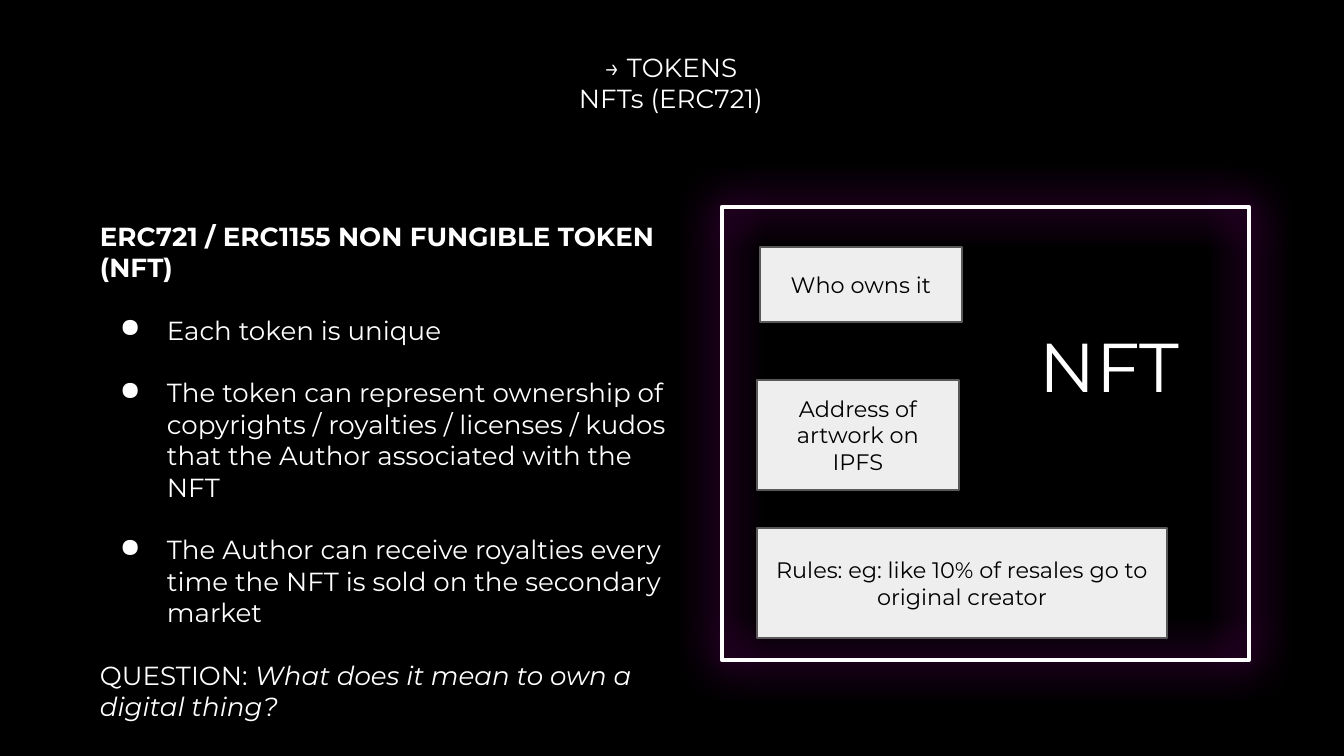
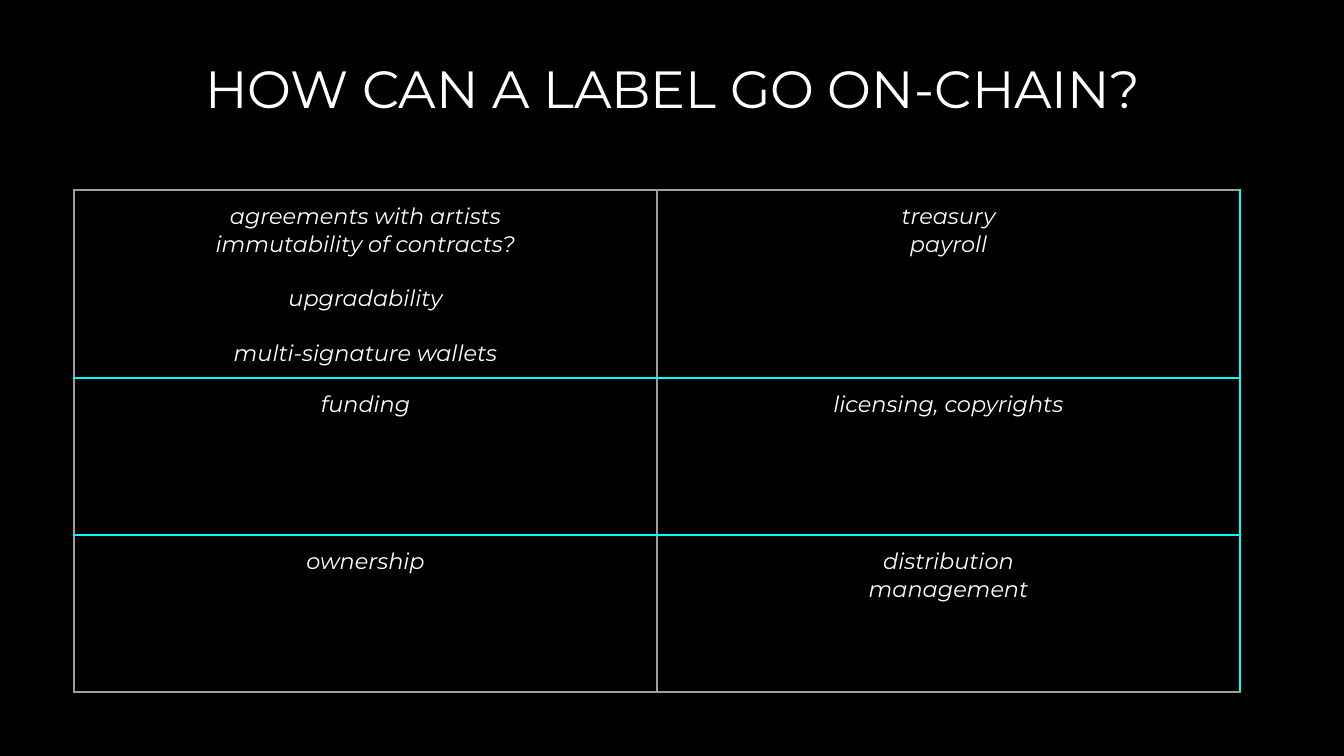
from lxml.etree import SubElement
from pptx import Presentation
from pptx.dml.color import RGBColor
from pptx.enum.shapes import MSO_SHAPE
from pptx.enum.text import MSO_ANCHOR, MSO_AUTO_SIZE, PP_ALIGN
from pptx.oxml.ns import qn
from pptx.util import Pt

PX = 914400 / 134.4
FONT = "Montserrat"
BLACK = RGBColor(0x00, 0x00, 0x00)
WHITE = RGBColor(0xFF, 0xFF, 0xFF)
PANEL = RGBColor(0xEE, 0xEE, 0xEE)
EDGE = RGBColor(0x59, 0x59, 0x59)
MAGENTA = RGBColor(0xFF, 0x00, 0xFF)
CYAN = RGBColor(0x00, 0xFF, 0xFF)
GREY = RGBColor(0x9E, 0x9E, 0x9E)
INSET, BULLET_INDENT, BULLET_HANG = 13, 67, 47

# Content: a paragraph is a list of (text, font values) runs plus its layout values
BOLD, ITALIC = {"bold": True}, {"italic": True}


def para(*runs, bullet=False, gap=0):
    return {"runs": runs, "bullet": bullet, "gap": gap}


def lines(*texts, **font):
    return [para((text, font)) for text in texts]


TOKENS_TITLE = lines("→ TOKENS", "NFTs (ERC721)")
TOKENS_BODY = [
    para(("ERC721 / ERC1155 NON FUNGIBLE TOKEN (NFT)", BOLD)),
    *[para((text, {}), bullet=True, gap=16.8) for text in (
        "Each token is unique",
        "The token can represent ownership of copyrights / royalties / licenses / kudos "
        "that the Author associated with the NFT",
        "The Author can receive royalties every time the NFT is sold on the secondary market",
    )],
    para(("QUESTION: ", {}), ("What does it mean to own a digital thing?", ITALIC), gap=16.8),
]
NFT_FRAME = (722, 207, 527, 453)
NFT_PARTS = [
    ("Who owns it", (760, 247, 202, 75)),
    ("Address of artwork on IPFS", (757, 380, 202, 110)),
    ("Rules: eg: like 10% of resales go to original creator", (757, 528, 410, 110)),
]

LABEL_TITLE = lines("HOW CAN A LABEL GO ON-CHAIN?")
LABEL_GRID = [
    [lines("agreements with artists", "immutability of contracts?", **ITALIC)
     + [para((text, ITALIC), gap=14.6) for text in ("upgradability", "multi-signature wallets")],
     lines("treasury", "payroll", **ITALIC)],
    [lines("funding", **ITALIC), lines("licensing, copyrights", **ITALIC)],
    [lines("ownership", **ITALIC), lines("distribution", "management", **ITALIC)],
]
GRID_LEFT, GRID_TOP, COL_W, ROW_H = 74, 190, 583, 157


def px(n):
    return round(n * PX)


def box(rect):
    return [px(n) for n in rect]


def add_bullet(p):
    pPr = p._p.get_or_add_pPr()
    pPr.set("marL", str(px(BULLET_INDENT)))
    pPr.set("indent", str(-px(BULLET_HANG)))
    SubElement(SubElement(pPr, qn("a:buClr")), qn("a:srgbClr"), val=str(WHITE))
    SubElement(pPr, qn("a:buChar"), char="●")


def write(tf, paragraphs, size, color=WHITE, align=PP_ALIGN.CENTER):
    for i, item in enumerate(paragraphs):
        p = tf.paragraphs[0] if i == 0 else tf.add_paragraph()
        p.alignment = align
        if item["gap"]:
            p.space_before = Pt(item["gap"])
        if item["bullet"]:
            add_bullet(p)
        for text, font in item["runs"]:
            r = p.add_run()
            r.text = text
            r.font.color.rgb = color
            for name, value in {"name": FONT, "size": Pt(size), **font}.items():
                setattr(r.font, name, value)


def set_insets(target):
    for side in ("left", "top", "right", "bottom"):
        setattr(target, f"margin_{side}", px(INSET))


def add_text(s, rect, paragraphs, size, grow=True, **style):
    tf = s.shapes.add_textbox(*box(rect)).text_frame
    tf.word_wrap = True
    tf.auto_size = MSO_AUTO_SIZE.SHAPE_TO_FIT_TEXT if grow else MSO_AUTO_SIZE.NONE
    set_insets(tf)
    write(tf, paragraphs, size, **style)


def add_rect(s, rect, line, width, fill=None):
    sp = s.shapes.add_shape(MSO_SHAPE.RECTANGLE, *box(rect))
    sp.shadow.inherit = False
    sp.line.color.rgb = line
    sp.line.width = Pt(width)
    if fill is None:
        sp.fill.background()
    else:
        sp.fill.solid()
        sp.fill.fore_color.rgb = fill
    return sp


def add_glow(sp, color, blur):
    effects = sp._element.spPr.find(qn("a:effectLst"))
    shadow = SubElement(effects, qn("a:outerShdw"), blurRad=str(Pt(blur)), dist="0", dir="0",
                        algn="bl", rotWithShape="0")
    SubElement(SubElement(shadow, qn("a:srgbClr"), val=str(color)), qn("a:alpha"), val="100000")


def set_borders(cell, colors):
    tcPr = cell._tc.get_or_add_tcPr()
    for i, (side, color) in enumerate(colors.items()):
        ln = SubElement(tcPr, qn(f"a:{side}"), w=str(Pt(0.75)))
        tcPr.insert(i, ln)
        SubElement(SubElement(ln, qn("a:solidFill")), qn("a:srgbClr"), val=str(color))


def add_slide(prs):
    s = prs.slides.add_slide(prs.slide_layouts[6])
    s.background.fill.solid()
    s.background.fill.fore_color.rgb = BLACK
    return s


def build_tokens(prs):
    s = add_slide(prs)
    add_glow(add_rect(s, NFT_FRAME, WHITE, 2.25), MAGENTA, 22.5)
    add_text(s, (173, 38, 996, 90), TOKENS_TITLE, 14)
    add_text(s, (87, 207, 601, 534), TOKENS_BODY, 14, align=PP_ALIGN.LEFT)
    add_text(s, (1027, 310, 176, 110), lines("NFT"), 37, align=PP_ALIGN.LEFT)
    for text, rect in NFT_PARTS:
        tf = add_rect(s, rect, EDGE, 0.75, PANEL).text_frame
        tf.word_wrap = True
        tf.vertical_anchor = MSO_ANCHOR.MIDDLE
        set_insets(tf)
        write(tf, lines(text), 12, color=BLACK)


def build_label(prs):
    s = add_slide(prs)
    add_text(s, (46, 43, 1253, 95), LABEL_TITLE, 28, grow=False)
    n_rows, n_cols = len(LABEL_GRID), len(LABEL_GRID[0])
    rect = (GRID_LEFT, GRID_TOP, COL_W * n_cols, ROW_H * n_rows)
    table = s.shapes.add_table(n_rows, n_cols, *box(rect)).table
    for flag in ("first_row", "horz_banding"):
        setattr(table, flag, False)
    for row in table.rows:
        row.height = px(ROW_H)
    for i, row in enumerate(LABEL_GRID):
        for j, paragraphs in enumerate(row):
            cell = table.cell(i, j)
            cell.fill.background()
            set_insets(cell)
            write(cell.text_frame, paragraphs, 12)
            # Cyan runs between the rows and down the right edge
            set_borders(cell, {
                "lnL": GREY,
                "lnR": CYAN if j == n_cols - 1 else GREY,
                "lnT": CYAN if i > 0 else GREY,
                "lnB": CYAN if i < n_rows - 1 else GREY,
            })


def main():
    prs = Presentation()
    prs.slide_width, prs.slide_height = px(1344), px(756)
    build_tokens(prs)
    build_label(prs)
    prs.save("out.pptx")


if __name__ == "__main__":
    main()
